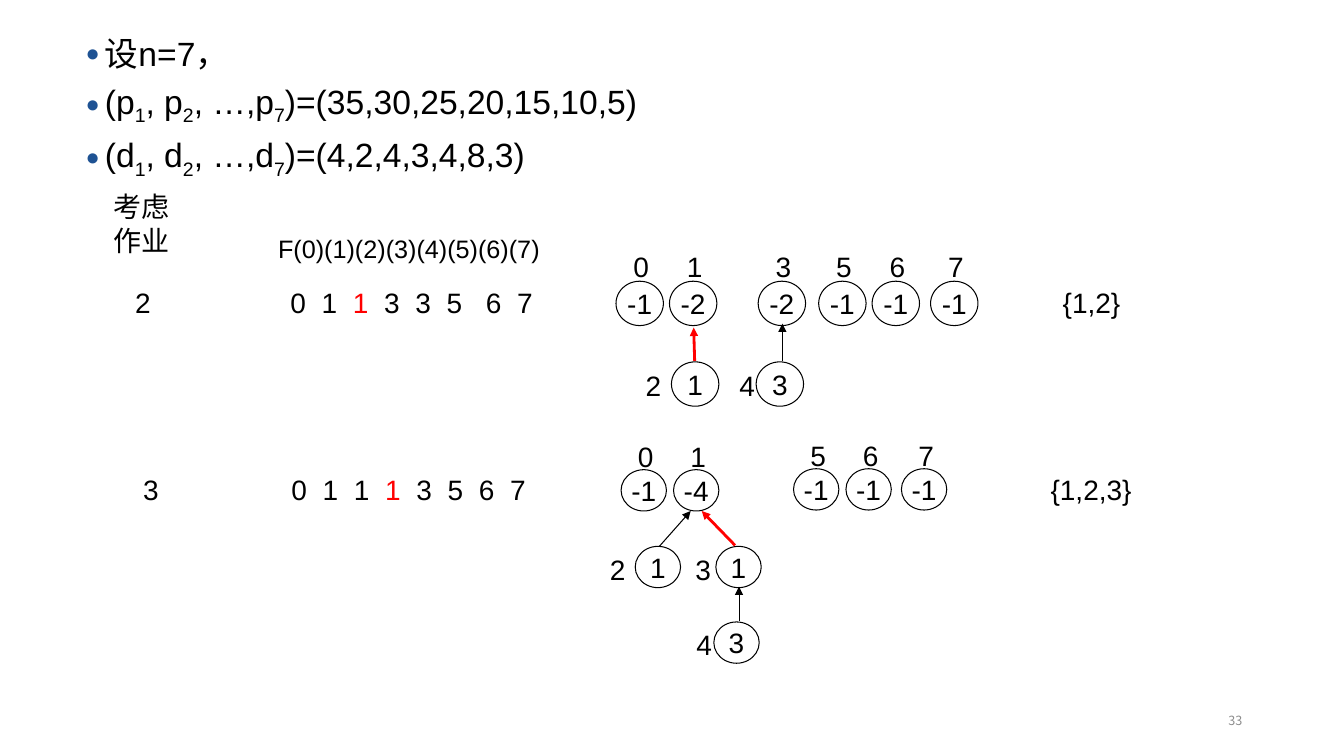
from dataclasses import dataclass

from lxml.etree import SubElement
from pptx import Presentation
from pptx.dml.color import RGBColor
from pptx.enum.shapes import MSO_CONNECTOR, MSO_SHAPE
from pptx.enum.text import MSO_ANCHOR, MSO_AUTO_SIZE, PP_ALIGN
from pptx.oxml.ns import qn
from pptx.slide import Slide
from pptx.util import Inches, Pt

COLORS = {"ink": "000000", "accent": "FF0000", "bullet": "1E5293", "muted": "8C8C8C"}
LATIN = "Arial"
CHINESE = "Noto Sans CJK SC"
DIGIT_PITCH = 0.31


@dataclass(frozen=True)
class Piece:
    text: str
    subscript: bool = False
    color: str = ""


@dataclass(frozen=True)
class Label:
    left: float
    top: float
    width: float
    height: float
    lines: tuple[str, ...]
    size: int = 20
    font: str = LATIN
    color: str = "ink"
    align: PP_ALIGN = PP_ALIGN.LEFT
    anchor: MSO_ANCHOR = MSO_ANCHOR.TOP
    inset_x: float = 0
    inset_y: float = 0


@dataclass(frozen=True)
class ParentRow:
    left: float
    top: float
    digits: str
    changed: int
    shift: float = 0
    shift_from: int = 8


@dataclass(frozen=True)
class Node:
    left: float
    top: float
    value: str
    label: str
    side_gap: float = 0


@dataclass(frozen=True)
class Edge:
    start: tuple[float, float]
    end: tuple[float, float]
    new: bool = False


@dataclass(frozen=True)
class Forest:
    node_size: tuple[float, float]
    label_size: tuple[float, float]
    rise: float
    drop: float
    nodes: tuple[Node, ...]
    edges: tuple[Edge, ...]


LABELS = (
    Label(1.13, 1.88, 0.72, 0.79, ("考虑", "作业"), font=CHINESE),
    Label(2.66, 2.27, 3.07, 0.4, ("F(0)(1)(2)(3)(4)(5)(6)(7)",), 18, inset_x=0.1, inset_y=0.05),
    Label(1.34, 2.83, 0.16, 0.34, ("2",)),
    Label(10.54, 2.83, 0.73, 0.38, ("{1,2}",)),
    Label(1.42, 4.69, 0.16, 0.34, ("3",)),
    Label(10.42, 4.69, 0.97, 0.43, ("{1,2,3}",)),
    Label(9.42, 6.95, 3, 0.4, ("33",), 9, CHINESE, "muted", PP_ALIGN.RIGHT,
          MSO_ANCHOR.MIDDLE, 0.1, 0.05),
)

PARENT_ROWS = (
    ParentRow(2.88, 2.83, "01133567", 2, 0.08, 6),
    ParentRow(2.89, 4.69, "01113567", 3),
)

FORESTS = (
    Forest(
        (0.47, 0.44), (0.18, 0.28), 0.31, 0.07,
        (
            Node(6.11, 2.79, "-1", "0"),
            Node(6.64, 2.79, "-2", "1"),
            Node(6.66, 3.59, "1", "2", 0.27),
            Node(7.52, 2.79, "-2", "3"),
            Node(7.5, 3.59, "3", "4", 0.18),
            Node(8.12, 2.79, "-1", "5"),
            Node(8.65, 2.79, "-1", "6"),
            Node(9.23, 2.79, "-1", "7"),
        ),
        (Edge((7.76, 3.58), (7.76, 3.21)), Edge((6.89, 3.58), (6.88, 3.25), True)),
    ),
    Forest(
        (0.45, 0.41), (0.17, 0.26), 0.3, 0.06,
        (
            Node(6.16, 4.66, "-1", "0"),
            Node(6.68, 4.66, "-4", "1"),
            Node(6.3, 5.42, "1", "2", 0.26),
            Node(7.87, 4.65, "-1", "5"),
            Node(8.39, 4.65, "-1", "6"),
            Node(8.94, 4.65, "-1", "7"),
            Node(7.1, 5.42, "1", "3", 0.21),
            Node(7.08, 6.17, "3", "4", 0.18),
        ),
        (
            Edge((7.33, 6.16), (7.33, 5.82)),
            Edge((6.54, 5.42), (6.85, 5.07)),
            Edge((7.29, 5.41), (6.96, 5.07), True),
        ),
    ),
)


def rgb(name: str) -> RGBColor:
    return RGBColor.from_string(COLORS[name])


def style(paragraph, size: int = 20, font: str = LATIN, color: str = "ink") -> None:
    paragraph.font.size = Pt(size)
    paragraph.font.color.rgb = rgb(color)
    paragraph.font.name = font
    properties = paragraph._p.get_or_add_pPr().find(qn("a:defRPr"))
    SubElement(properties, qn("a:ea"), typeface=CHINESE)


def add_pieces(paragraph, pieces: list[Piece]) -> None:
    for piece in pieces:
        run = paragraph.add_run()
        run.text = piece.text
        if piece.subscript:
            run._r.get_or_add_rPr().set("baseline", "-25000")
        if piece.color:
            run.font.color.rgb = rgb(piece.color)


def set_insets(frame, horizontal: float = 0, vertical: float = 0) -> None:
    frame.margin_left = frame.margin_right = Inches(horizontal)
    frame.margin_top = frame.margin_bottom = Inches(vertical)


def draw_label(slide: Slide, label: Label):
    box = slide.shapes.add_textbox(*map(Inches, (label.left, label.top, label.width, label.height)))
    frame = box.text_frame
    frame.word_wrap = True
    frame.vertical_anchor = label.anchor
    set_insets(frame, label.inset_x, label.inset_y)
    frame.text = "\n".join(label.lines)
    for paragraph in frame.paragraphs:
        paragraph.alignment = label.align
        style(paragraph, label.size, label.font, label.color)


def draw_parent_row(slide: Slide, row: ParentRow) -> None:
    box = slide.shapes.add_textbox(Inches(row.left), Inches(row.top), Inches(2.6), Inches(0.39))
    box.text_frame.word_wrap = True
    set_insets(box.text_frame)
    paragraph = box.text_frame.paragraphs[0]
    tabs = SubElement(paragraph._p.get_or_add_pPr(), qn("a:tabLst"))
    pieces = []
    for index, digit in enumerate(row.digits):
        if index:
            position = index * DIGIT_PITCH + (row.shift if index >= row.shift_from else 0)
            SubElement(tabs, qn("a:tab"), pos=str(Inches(position)), algn="l")
        pieces.append(Piece("\t" * (index > 0) + digit, color="accent" if index == row.changed else ""))
    style(paragraph)
    add_pieces(paragraph, pieces)


def draw_forest(slide: Slide, forest: Forest) -> None:
    for node in forest.nodes:
        circle = slide.shapes.add_shape(
            MSO_SHAPE.OVAL, *map(Inches, (node.left, node.top, *forest.node_size)))
        circle.shadow.inherit = False
        circle.fill.background()
        circle.line.color.rgb = rgb("ink")
        circle.line.width = Pt(0.75)
        set_insets(circle.text_frame)
        paragraph = circle.text_frame.paragraphs[0]
        paragraph.text = node.value
        paragraph.alignment = PP_ALIGN.CENTER
        style(paragraph)
        if node.side_gap:
            left, top = node.left - node.side_gap, node.top + forest.drop
        else:
            left, top = node.left + 0.16, node.top - forest.rise
        draw_label(slide, Label(left, top, *forest.label_size, (node.label,), align=PP_ALIGN.CENTER))
    for edge in forest.edges:
        arrow = slide.shapes.add_connector(
            MSO_CONNECTOR.STRAIGHT, *map(Inches, (*edge.start, *edge.end)))
        arrow.line.color.rgb = rgb("accent" if edge.new else "ink")
        arrow.line.width = Pt(2 if edge.new else 0.75)
        SubElement(arrow.line._get_or_add_ln(), qn("a:tailEnd"), type="triangle")
        SubElement(arrow._element.spPr, qn("a:effectLst"))


def formula(symbol: str, values: str) -> list[Piece]:
    return [
        Piece(f"({symbol}"), Piece("1", True), Piece(f", {symbol}"), Piece("2", True),
        Piece(f", …,{symbol}"), Piece("7", True), Piece(f")=({values})"),
    ]


def fill_problem(body) -> None:
    body.left, body.top, body.width, body.height = map(Inches, (0.75, 0.24, 6.02, 1.81))
    frame = body.text_frame
    frame.auto_size = MSO_AUTO_SIZE.NONE
    lines = [[Piece("设n=7，")], formula("p", "35,30,25,20,15,10,5"), formula("d", "4,2,4,3,4,8,3")]
    for index, pieces in enumerate(lines):
        paragraph = frame.add_paragraph() if index else frame.paragraphs[0]
        paragraph.line_spacing = 1.1
        paragraph.space_before = Pt(2 if index else 0)
        properties = paragraph._p.get_or_add_pPr()
        properties.set("marL", str(Inches(0.19)))
        properties.set("indent", str(Inches(-0.19)))
        SubElement(SubElement(properties, qn("a:buClr")), qn("a:srgbClr"), val=COLORS["bullet"])
        SubElement(properties, qn("a:buSzPct"), val="70000")
        SubElement(properties, qn("a:buFont"), typeface=LATIN)
        SubElement(properties, qn("a:buChar"), char="●")
        style(paragraph, 24)
        add_pieces(paragraph, pieces)


def main() -> None:
    presentation = Presentation()
    presentation.slide_width, presentation.slide_height = Inches(13.33), Inches(7.5)
    slide = presentation.slides.add_slide(presentation.slide_layouts[1])
    title = slide.shapes.title._element
    title.getparent().remove(title)
    fill_problem(slide.placeholders[1])
    for label in LABELS:
        draw_label(slide, label)
    for row in PARENT_ROWS:
        draw_parent_row(slide, row)
    for forest in FORESTS:
        draw_forest(slide, forest)
    presentation.save("out.pptx")


if __name__ == "__main__":
    main()
